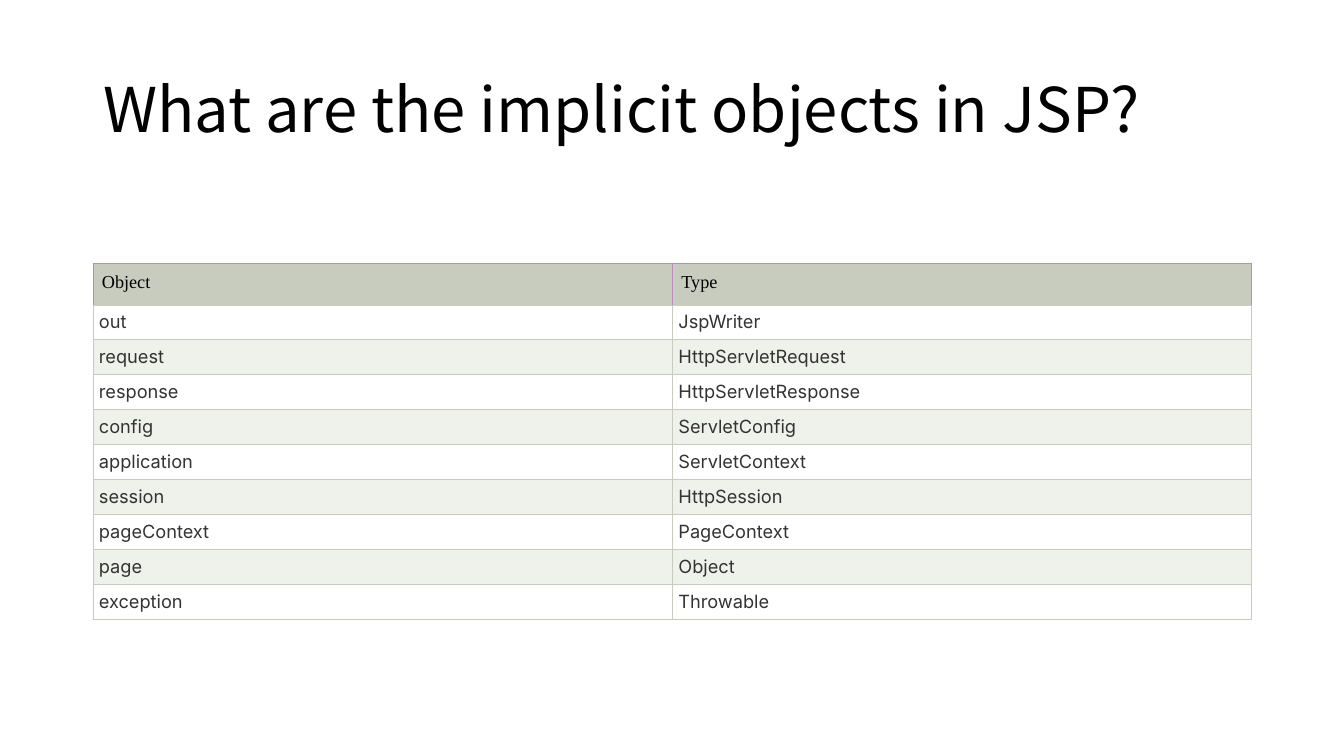
import lxml.etree
import pptx
import pptx.dml.color
import pptx.enum.text
import pptx.oxml.ns
import pptx.util

PX_PER_INCH = 100.8
COLORS = {
    "title": "000000",
    "header_text": "000000",
    "body_text": "333333",
    "header_fill": "C7CCBE",
    "plain_fill": "FFFFFF",
    "band_fill": "EFF1EB",
    "grid": "C7CCBE",
    "header_edge": "C08ABD",
}
HEADINGS = ("Object", "Type")
IMPLICIT_OBJECTS = [
    ("out", "JspWriter"),
    ("request", "HttpServletRequest"),
    ("response", "HttpServletResponse"),
    ("config", "ServletConfig"),
    ("application", "ServletContext"),
    ("session", "HttpSession"),
    ("pageContext", "PageContext"),
    ("page", "Object"),
    ("exception", "Throwable"),
]


def px(length):
    return pptx.util.Emu(round(length * 914400 / PX_PER_INCH))


def rgb(name):
    return pptx.dml.color.RGBColor.from_string(COLORS[name])


def write(frame, text, *, font, size, color, align="LEFT", spacing=None):
    paragraph = frame.paragraphs[0]
    paragraph.alignment = getattr(pptx.enum.text.PP_ALIGN, align)
    paragraph.line_spacing = spacing
    run = paragraph.add_run()
    run.text = text
    run.font.name = font
    run.font.size = pptx.util.Pt(size)
    run.font.bold = False
    run.font.color.rgb = rgb(color)


def set_border(cell, edge, color):
    qn = pptx.oxml.ns.qn
    properties = cell._tc.get_or_add_tcPr()
    line = lxml.etree.SubElement(properties, qn(f"a:ln{edge}"), w=str(pptx.util.Pt(0.75)))
    fill = lxml.etree.SubElement(line, qn("a:solidFill"))
    lxml.etree.SubElement(fill, qn("a:srgbClr"), val=COLORS[color])


def format_cell(cell, text, *, inset, fill, edge, **text_format):
    cell.margin_left = cell.margin_right = px(inset)
    cell.margin_top = cell.margin_bottom = px(inset)
    for side in "LRTB":
        set_border(cell, side, "grid" if side == "B" else edge)
    cell.fill.solid()
    cell.fill.fore_color.rgb = rgb(fill)
    write(cell.text_frame, text, size=13, **text_format)


def place_title(slide, left, top, width, height):
    title = slide.shapes.title
    title.left, title.top, title.width, title.height = map(px, (left, top, width, height))
    title.text_frame.word_wrap = True
    title.text_frame.vertical_anchor = pptx.enum.text.MSO_ANCHOR.MIDDLE
    write(title.text_frame, "What are the implicit objects in JSP?",
          font="Noto Sans CJK SC", size=44, color="title", spacing=0.9)


def place_object_table(slide, left, top, width, header_height, row_height):
    row_count = len(IMPLICIT_OBJECTS) + 1
    height = header_height + row_height * len(IMPLICIT_OBJECTS)
    table = slide.shapes.add_table(
        row_count, len(HEADINGS), *map(px, (left, top, width, height))).table
    table.first_row = False
    table.horz_banding = False
    for column in table.columns:
        column.width = px(width / len(HEADINGS))
    for index, texts in enumerate([HEADINGS, *IMPLICIT_OBJECTS]):
        if index == 0:
            table.rows[index].height = px(header_height)
            row_format = dict(inset=9, fill="header_fill", edge="header_edge",
                              font="Times New Roman", color="header_text")
        else:
            table.rows[index].height = px(row_height)
            row_format = dict(inset=6, fill="plain_fill" if index % 2 else "band_fill",
                              edge="grid", font="Inter", color="body_text", align="JUSTIFY")
        for cell, text in zip(table.rows[index].cells, texts):
            format_cell(cell, text, **row_format)


def main():
    presentation = pptx.Presentation()
    presentation.slide_width = px(1344)
    presentation.slide_height = px(756)
    slide = presentation.slides.add_slide(presentation.slide_layouts[5])
    place_title(slide, 93, 40, 1159, 146)
    place_object_table(slide, 93, 263, 1159, header_height=42, row_height=35)
    presentation.save("out.pptx")


if __name__ == "__main__":
    main()
